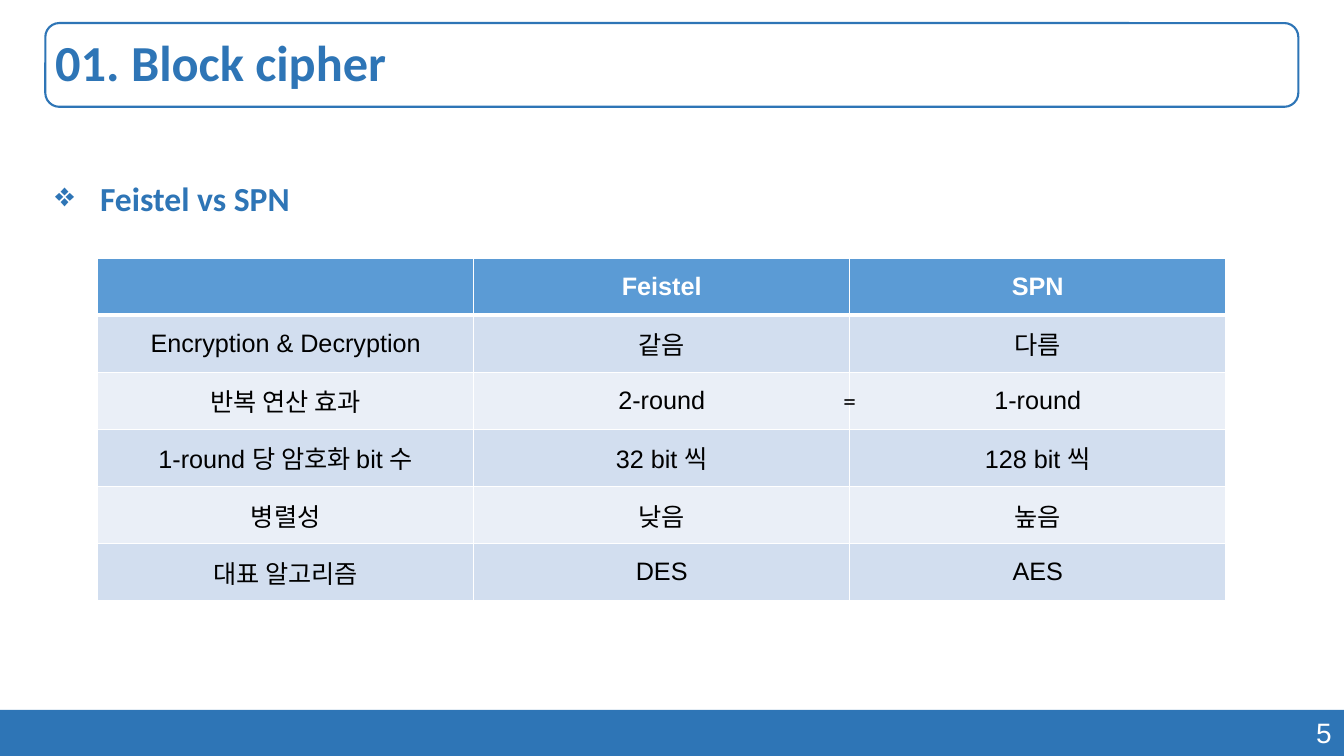
from dataclasses import dataclass
from typing import Optional

from lxml import etree
from pptx import Presentation
from pptx import util as u
from pptx.dml.color import RGBColor
from pptx.enum import shapes, text
from pptx.oxml import ns


@dataclass(frozen=True)
class Theme:
    blue: str = "2E75B6"
    header: str = "5B9BD5"
    bands: tuple = ("D2DEEF", "EAEFF7")
    white: str = "FFFFFF"
    black: str = "000000"
    title_size: float = 36
    heading_size: float = 24
    number_size: float = 20
    table_size: float = 18
    heading_font: str = "Calibri"
    body_font: str = "Arial"


THEME = Theme()


@dataclass(frozen=True)
class Box:
    left: float
    top: float
    width: float
    height: float

    def lengths(self) -> tuple:
        return u.Pt(self.left), u.Pt(self.top), u.Pt(self.width), u.Pt(self.height)


@dataclass(frozen=True)
class Style:
    size: float
    color: str
    font: str
    bold: bool = False
    align: text.PP_ALIGN = text.PP_ALIGN.LEFT


@dataclass(frozen=True)
class Label:
    wording: str
    box: Box
    style: Style
    anchor: text.MSO_ANCHOR = text.MSO_ANCHOR.TOP
    line_spacing: float = 1.0
    bullet: Optional[str] = None


@dataclass(frozen=True)
class Panel:
    kind: shapes.MSO_SHAPE
    box: Box
    fill: Optional[str] = None
    line: Optional[str] = None


SLIDE_WIDTH, SLIDE_HEIGHT = 960, 540
BULLET_INDENT = 32
ROW_HEIGHT = 40.8
COLUMN_WIDTH = 268.6
TITLE_BOX = Box(32.4, 16.5, 895, 59.8)

PANELS = [
    Panel(shapes.MSO_SHAPE.RECTANGLE, Box(0, 507, SLIDE_WIDTH, 33), fill=THEME.blue),
    Panel(shapes.MSO_SHAPE.ROUNDED_RECTANGLE, TITLE_BOX, line=THEME.blue),
]

LABELS = [
    Label("5", Box(677.5, 507.6, 280.8, 31.5),
          Style(THEME.number_size, THEME.white, THEME.body_font, align=text.PP_ALIGN.RIGHT)),
    Label("01. Block cipher", TITLE_BOX,
          Style(THEME.title_size, THEME.blue, THEME.heading_font, bold=True),
          anchor=text.MSO_ANCHOR.MIDDLE, line_spacing=0.9),
    Label("Feistel vs SPN", Box(32.4, 95, 916.6, 398),
          Style(THEME.heading_size, THEME.blue, THEME.heading_font, bold=True),
          line_spacing=2.0, bullet="❖"),
]

EQUALS = Label("=", Box(595.4, 271.4, 25.9, 29),
               Style(THEME.table_size, THEME.black, THEME.heading_font))

COMPARISON = [
    ("", "Feistel", "SPN"),
    ("Encryption & Decryption", "같음", "다름"),
    ("반복 연산 효과", "2-round", "1-round"),
    ("1-round 당 암호화 bit 수", "32 bit 씩", "128 bit 씩"),
    ("병렬성", "낮음", "높음"),
    ("대표 알고리즘", "DES", "AES"),
]


def format_paragraph(paragraph, style: Style) -> None:
    paragraph.alignment = style.align
    for run in paragraph.runs:
        run.font.size = u.Pt(style.size)
        run.font.name = style.font
        run.font.bold = style.bold
        run.font.color.rgb = RGBColor.from_string(style.color)


def add_panel(slide, panel: Panel) -> None:
    shape = slide.shapes.add_shape(panel.kind, *panel.box.lengths())
    shape.shadow.inherit = False
    if panel.fill:
        shape.fill.solid()
        shape.fill.fore_color.rgb = RGBColor.from_string(panel.fill)
    else:
        shape.fill.background()
    if panel.line:
        shape.line.color.rgb = RGBColor.from_string(panel.line)
        shape.line.width = u.Pt(1.5)
    else:
        shape.line.fill.background()


def add_bullet(paragraph, character: str) -> None:
    properties = paragraph._p.get_or_add_pPr()
    properties.set("marL", str(u.Pt(BULLET_INDENT)))
    properties.set("indent", str(-u.Pt(BULLET_INDENT)))
    etree.SubElement(properties, ns.qn("a:buChar"), char=character)


def add_label(slide, label: Label) -> None:
    shape = slide.shapes.add_textbox(*label.box.lengths())
    frame = shape.text_frame
    frame.word_wrap = True
    frame.vertical_anchor = label.anchor
    frame.text = label.wording
    paragraph = frame.paragraphs[0]
    paragraph.line_spacing = label.line_spacing
    if label.bullet:
        add_bullet(paragraph, label.bullet)
    format_paragraph(paragraph, label.style)


def add_border(cell, side: str, width: float) -> None:
    properties = cell._tc.get_or_add_tcPr()
    line = etree.SubElement(properties, ns.qn(f"a:{side}"), w=str(u.Pt(width)))
    fill = etree.SubElement(line, ns.qn("a:solidFill"))
    etree.SubElement(fill, ns.qn("a:srgbClr"), val=THEME.white)


def format_cell(cell, wording: str, row: int) -> None:
    is_header = row == 0
    # Borders come before the fill in the cell properties
    for side in ("lnL", "lnR", "lnT", "lnB"):
        thick = (is_header and side == "lnB") or (row == 1 and side == "lnT")
        add_border(cell, side, 3 if thick else 1)
    cell.fill.solid()
    color = THEME.header if is_header else THEME.bands[(row - 1) % 2]
    cell.fill.fore_color.rgb = RGBColor.from_string(color)
    cell.vertical_anchor = text.MSO_ANCHOR.MIDDLE
    cell.text_frame.text = wording
    style = Style(THEME.table_size, THEME.white if is_header else THEME.black,
                  THEME.body_font, bold=is_header, align=text.PP_ALIGN.CENTER)
    format_paragraph(cell.text_frame.paragraphs[0], style)


def add_comparison(slide, rows: list) -> None:
    columns = len(rows[0])
    box = Box(69.8, 184.3, columns * COLUMN_WIDTH, len(rows) * ROW_HEIGHT)
    table = slide.shapes.add_table(len(rows), columns, *box.lengths()).table
    for column in table.columns:
        column.width = u.Pt(COLUMN_WIDTH)
    for row, wordings in enumerate(rows):
        table.rows[row].height = u.Pt(ROW_HEIGHT)
        for column, wording in enumerate(wordings):
            format_cell(table.cell(row, column), wording, row)


def main() -> None:
    presentation = Presentation()
    presentation.slide_width = u.Pt(SLIDE_WIDTH)
    presentation.slide_height = u.Pt(SLIDE_HEIGHT)
    slide = presentation.slides.add_slide(presentation.slide_layouts[6])

    # Footer bar and title frame
    for panel in PANELS:
        add_panel(slide, panel)

    # Page number, title and heading
    for label in LABELS:
        add_label(slide, label)

    # Comparison table, with the equals sign over its column line
    add_comparison(slide, COMPARISON)
    add_label(slide, EQUALS)

    presentation.save("out.pptx")


if __name__ == "__main__":
    main()
